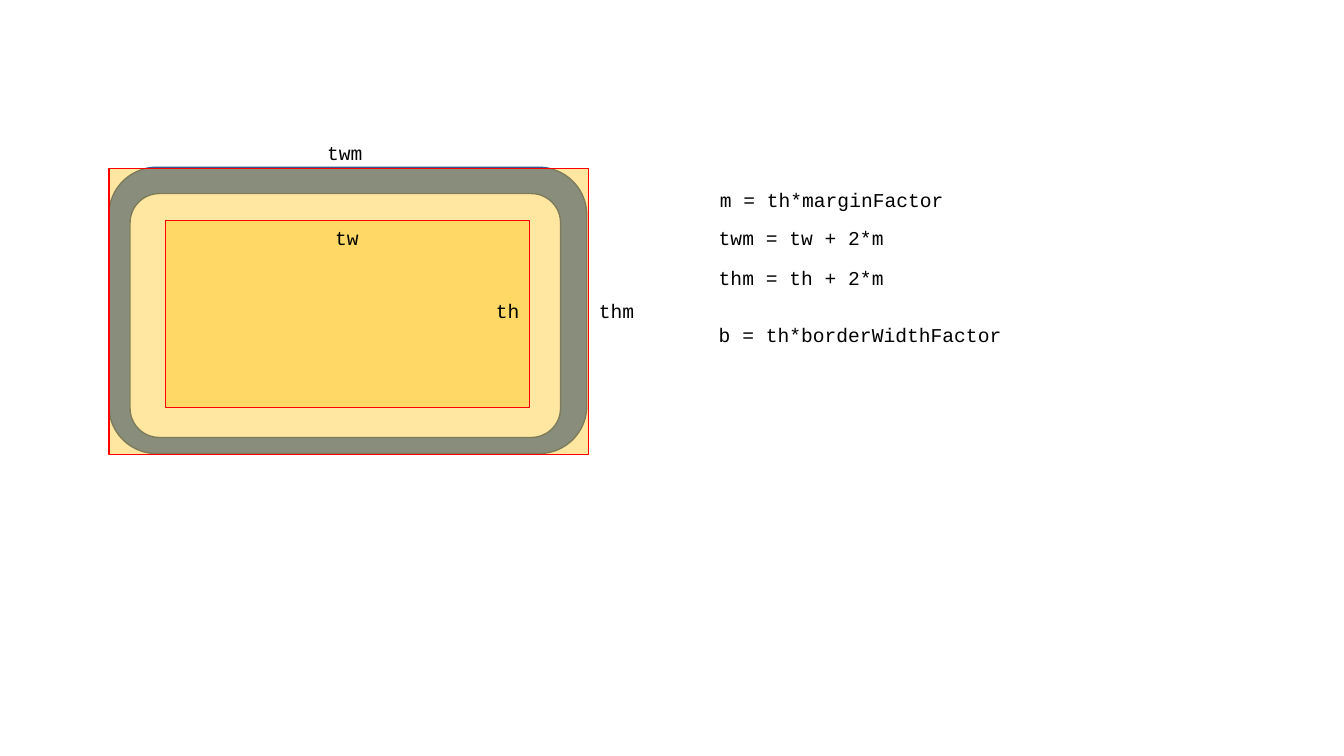
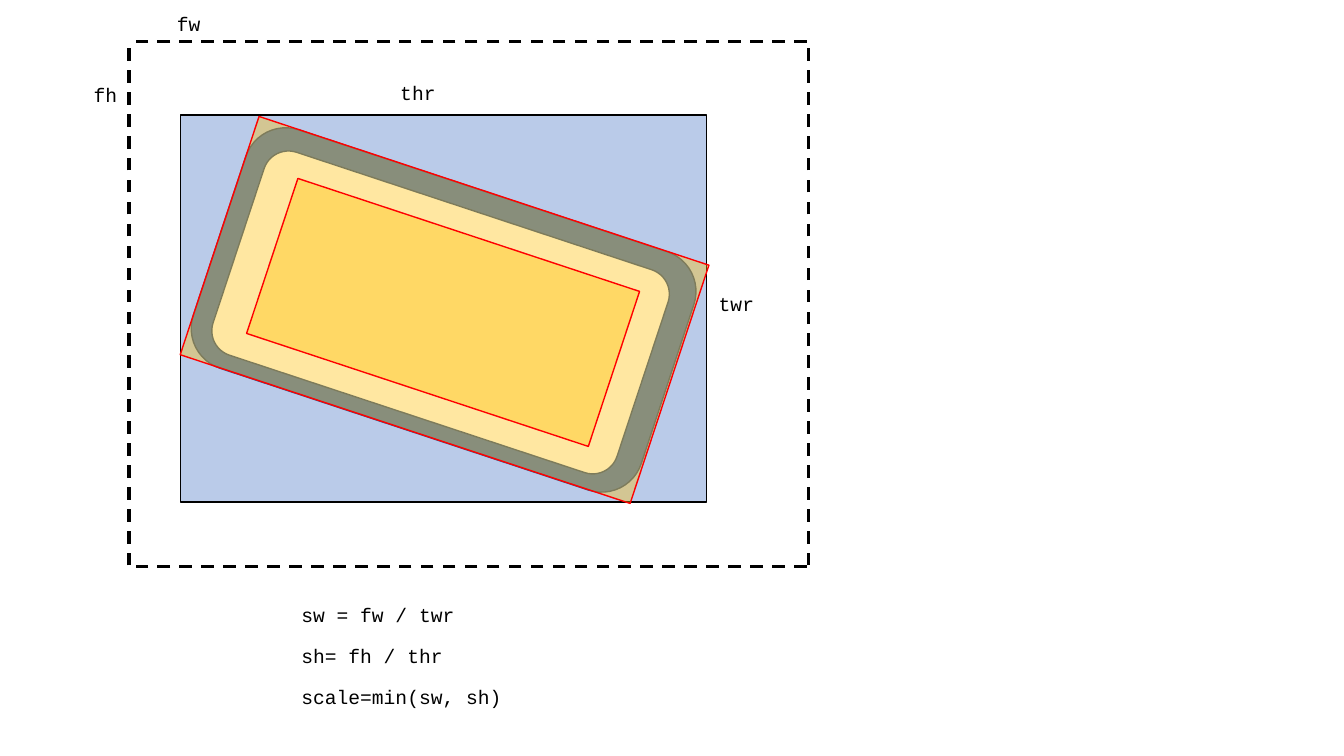
"""Two slides on the size of a bordered text label and its scale in a frame."""
from lxml import etree
from pptx import Presentation
from pptx.dml.color import RGBColor
from pptx.enum.dml import MSO_LINE
from pptx.enum.shapes import MSO_CONNECTOR, MSO_SHAPE
from pptx.enum.text import PP_ALIGN
from pptx.oxml.ns import qn
from pptx.util import Emu, Pt

RECTANGLE, ROUNDED = MSO_SHAPE.RECTANGLE, MSO_SHAPE.ROUNDED_RECTANGLE
STRAIGHT, DASH = MSO_CONNECTOR.STRAIGHT, MSO_LINE.DASH
LEFT, CENTER, RIGHT = PP_ALIGN.LEFT, PP_ALIGN.CENTER, PP_ALIGN.RIGHT

BLACK = RGBColor(0x00, 0x00, 0x00)
WHITE = RGBColor(0xFF, 0xFF, 0xFF)
RED = RGBColor(0xFF, 0x00, 0x00)
BLUE = RGBColor(0x44, 0x72, 0xC4)
NAVY = RGBColor(0x32, 0x54, 0x91)
AMBER = RGBColor(0xFF, 0xC0, 0x00)
FONT = "Courier New"
PX = 9144
TEXT_HEIGHT = 34

LABEL_LAYERS = [
    dict(kind=ROUNDED, fill=BLUE, line=NAVY),
    dict(kind=ROUNDED, fill=WHITE, line=NAVY, corner=0.12),
    dict(kind=RECTANGLE, fill=AMBER, line=RED, opacity=37),
    dict(kind=RECTANGLE, fill=AMBER, line=RED, opacity=37),
]

SLIDES = [
    dict(
        angle=0,
        label=[(108, 166, 474, 284), (129, 192, 427, 242),
               (108, 167, 476, 284), (164, 219, 361, 185)],
        texts=[("tw", 300, 219, 88, CENTER), ("th", 437, 292, 88, RIGHT),
               ("twm", 298, 135, 88, CENTER), ("thm", 584, 292, 88, LEFT),
               ("m = th*marginFactor", 704, 182, 412, LEFT),
               ("twm = tw + 2*m", 703, 219, 412, LEFT),
               ("thm = th + 2*m", 703, 259, 412, LEFT),
               ("b = th*borderWidthFactor", 703, 315, 412, LEFT)],
    ),
    dict(
        angle=18.3,
        frame=[(800, 41, 126, 41), (800, 562, 126, 562),
               (128, 561, 128, 44), (802, 561, 802, 44)],
        bounds=(179, 114, 522, 384),
        label=[(206, 183, 468, 249), (226, 204, 422, 212),
               (206, 183, 470, 249), (261, 229, 357, 162)],
        texts=[("fw", 143, 7, 88, CENTER), ("fh", 75, 77, 51, RIGHT),
               ("thr", 365, 75, 99, CENTER), ("twr", 703, 285, 99, LEFT),
               ("sw = fw / twr", 289, 593, 412, LEFT),
               ("sh= fh / thr", 289, 634, 412, LEFT),
               ("scale=min(sw, sh)", 289, 675, 412, LEFT)],
    ),
]


def px(*lengths):
    return [Emu(length * PX) for length in lengths]


def add_box(shapes, box, kind, fill, line, opacity=100, corner=None, angle=0):
    shape = shapes.add_shape(kind, *px(*box))
    shape.shadow.inherit = False
    shape.rotation = angle
    if corner is not None:
        shape.adjustments[0] = corner
    shape.fill.solid()
    shape.fill.fore_color.rgb = fill
    shape.line.color.rgb = line
    shape.line.width = Pt(1)
    if opacity < 100:
        color = shape.element.spPr.find(qn("a:solidFill"))[0]
        etree.SubElement(color, qn("a:alpha"), val=str(opacity * 1000))


def add_dashed_line(shapes, ends):
    connector = shapes.add_connector(STRAIGHT, *px(*ends))
    connector.line.color.rgb = BLACK
    connector.line.width = Pt(2.25)
    connector.line.dash_style = DASH
    etree.SubElement(connector.element.spPr, qn("a:effectLst"))


def add_text(shapes, text, left, top, width, align=LEFT, size=14, color=BLACK):
    frame = shapes.add_textbox(*px(left, top, width, TEXT_HEIGHT)).text_frame
    frame.word_wrap = True
    paragraph = frame.paragraphs[0]
    paragraph.alignment = align
    run = paragraph.add_run()
    run.text = text
    run.font.name = FONT
    run.font.size = Pt(size)
    run.font.color.rgb = color


def build_slide(presentation, content):
    slide = presentation.slides.add_slide(presentation.slide_layouts[6])
    if "frame" in content:
        frame = slide.shapes.add_group_shape()
        for ends in content["frame"]:
            add_dashed_line(frame.shapes, ends)
    label = slide.shapes.add_group_shape()
    if "bounds" in content:
        add_box(label.shapes, content["bounds"], RECTANGLE, BLUE, BLACK, opacity=37)
    for box, layer in zip(content["label"], LABEL_LAYERS):
        add_box(label.shapes, box, angle=content["angle"], **layer)
    for text, left, top, width, align in content["texts"]:
        add_text(slide.shapes, text, left, top, width, align=align)


def main():
    presentation = Presentation()
    presentation.slide_width, presentation.slide_height = px(1333, 750)
    for content in SLIDES:
        build_slide(presentation, content)
    presentation.save("out.pptx")


if __name__ == "__main__":
    main()
